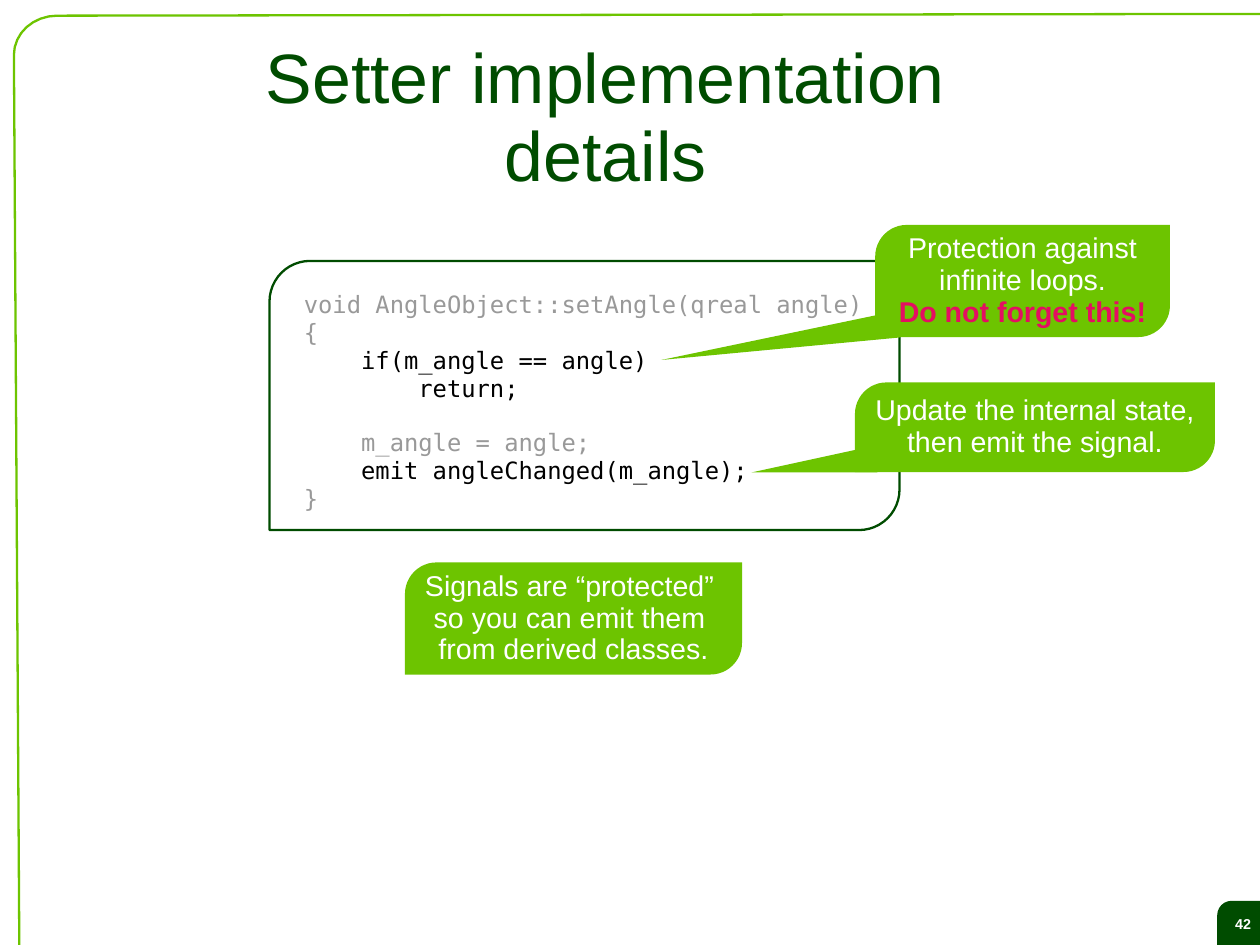
import math
from pptx import Presentation
from pptx.dml.color import RGBColor
from pptx.enum.shapes import MSO_SHAPE
from pptx.enum.text import MSO_ANCHOR, PP_ALIGN
from pptx.util import Cm, Pt

LEAF = MSO_SHAPE.ROUND_2_DIAG_RECTANGLE
TOP, MIDDLE = MSO_ANCHOR.TOP, MSO_ANCHOR.MIDDLE
LEFT, CENTER = PP_ALIGN.LEFT, PP_ALIGN.CENTER

COLORS = {
    "dark": "004C00",
    "lime": "6DC400",
    "white": "FFFFFF",
    "muted": "999999",
    "black": "000000",
    "warning": "E40E62",
}
RGB = {name: RGBColor.from_string(value) for name, value in COLORS.items()}

TITLE_FONT = {"name": "Arial", "size": Pt(44), "bold": False}
CODE_FONT = {"name": "DejaVu Sans Mono", "size": Pt(15), "bold": False}
NOTE_FONT = {"name": "Arial", "size": Pt(18), "bold": False}
STRONG_FONT = {**NOTE_FONT, "bold": True}
NUMBER_FONT = {"name": "Arial", "size": Pt(9), "bold": True}

presentation = Presentation()
presentation.slide_width = Cm(28)
presentation.slide_height = Cm(21)
slide = presentation.slides.add_slide(presentation.slide_layouts[6])
shapes = slide.shapes


def write(box, lines, anchor=MIDDLE, align=CENTER, spacing=0.93, insets=(0, 0, 0, 0)):
    frame = box.text_frame
    frame.word_wrap = True
    frame.vertical_anchor = anchor
    sides = ("margin_left", "margin_top", "margin_right", "margin_bottom")
    for side, inset in zip(sides, insets):
        setattr(frame, side, Cm(inset))
    for index, (text, font, color, gap) in enumerate(lines):
        paragraph = frame.paragraphs[0] if index == 0 else frame.add_paragraph()
        layout = {"alignment": align, "line_spacing": spacing, "space_before": Pt(gap)}
        for name, value in layout.items():
            setattr(paragraph, name, value)
        run = paragraph.add_run()
        run.text = text
        for name, value in font.items():
            setattr(run.font, name, value)
        run.font.color.rgb = RGB[color]


def add_leaf(left, top, width, height, radius, fill=None):
    leaf = shapes.add_shape(LEAF, Cm(left), Cm(top), Cm(width), Cm(height))
    leaf.shadow.inherit = False
    leaf.adjustments[0] = radius / min(width, height)
    if fill:
        leaf.fill.solid()
        leaf.fill.fore_color.rgb = RGB[fill]
        leaf.line.fill.background()
    else:
        leaf.fill.background()
        leaf.line.color.rgb = RGB["dark"]
        leaf.line.width = Pt(1.45)
    return leaf


page_badge = add_leaf(27.05, 20.02, 1.15, 1.06, 0.32, "dark")
write(page_badge, [("42", NUMBER_FONT, "white", 0)])

corner = []
for step in range(9):
    angle = math.radians(90 * step / 8)
    corner.append((Cm(1.27 - 0.96 * math.sin(angle)), Cm(1.22 - 0.87 * math.cos(angle))))
border_builder = shapes.build_freeform(Cm(28), Cm(0.31))
border_builder.add_line_segments(corner + [(Cm(0.43), Cm(21))], close=False)
page_border = border_builder.convert_to_shape()
page_border.shadow.inherit = False
page_border.fill.background()
page_border.line.color.rgb = RGB["lime"]
page_border.line.width = Pt(1.45)

title = shapes.add_textbox(Cm(4.37), Cm(0.84), Cm(18.19), Cm(3.51))
write(title, [("Setter implementation details", TITLE_FONT, "dark", 0)], insets=(0, 0.1, 0, 0))

code_lines = [
    ("void AngleObject::setAngle(qreal angle)", "muted", 0),
    ("{", "muted", 0),
    ("    if(m_angle == angle)", "black", 0),
    ("        return;", "black", 0),
    ("    m_angle = angle;", "muted", 17),
    ("    emit angleChanged(m_angle);", "black", 0),
    ("}", "muted", 0),
]
code_box = add_leaf(5.99, 5.8, 14, 5.98, 0.9)
write(
    code_box,
    [(text, CODE_FONT, color, gap) for text, color, gap in code_lines],
    anchor=TOP, align=LEFT, spacing=0.97, insets=(0.5, 0.42, 0, 0),
)

callouts = [
    ((19.45, 5, 6.55, 2.49), [(19.5, 7), (20, 7.5), (14.7, 8)], [
        ("Protection against", NOTE_FONT, "white", 0),
        ("infinite loops.", NOTE_FONT, "white", 0),
        ("Do not forget this!", STRONG_FONT, "warning", 0),
    ]),
    ((19, 8.5, 8, 1.99), [(19, 10), (19.5, 10.5), (16.7, 10.5)], [
        ("Update the internal state,", NOTE_FONT, "white", 0),
        ("then emit the signal.", NOTE_FONT, "white", 0),
    ]),
    ((9, 12.5, 7.49, 2.49), [], [
        ("Signals are “protected” ", NOTE_FONT, "white", 0),
        ("so you can emit them ", NOTE_FONT, "white", 0),
        ("from derived classes.", NOTE_FONT, "white", 0),
    ]),
]
for area, tail_points, message in callouts:
    if tail_points:
        corners = [(Cm(x), Cm(y)) for x, y in tail_points]
        tail_builder = shapes.build_freeform(*corners[0])
        tail_builder.add_line_segments(corners[1:], close=True)
        tail = tail_builder.convert_to_shape()
        tail.shadow.inherit = False
        tail.fill.solid()
        tail.fill.fore_color.rgb = RGB["lime"]
        tail.line.fill.background()
    write(add_leaf(*area, 0.7, "lime"), message)

presentation.save("out.pptx")
